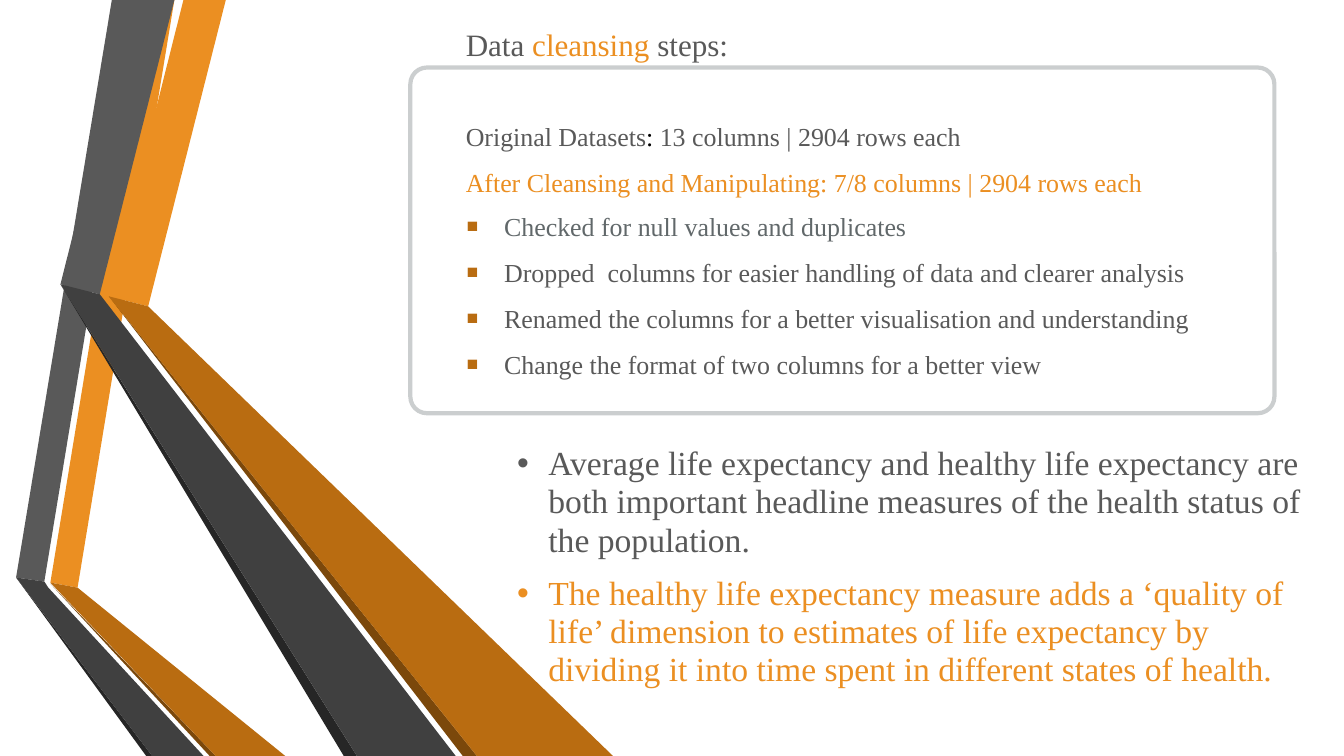
from dataclasses import dataclass

from lxml import etree
from pptx import Presentation
from pptx import util as u
from pptx.dml.color import RGBColor
from pptx.enum import shapes, text
from pptx.oxml import ns


@dataclass(frozen=True)
class Theme:
    font: str = "Times New Roman"
    heading_size: float = 22.2
    list_size: float = 18.5
    summary_size: float = 24
    white: str = "FFFFFF"
    black: str = "000000"
    gray: str = "595959"
    slate: str = "61686A"
    border: str = "CBCECF"
    charcoal: str = "404040"
    near_black: str = "262626"
    orange: str = "EB8F22"
    amber: str = "B96C11"
    brown: str = "7B480B"


THEME = Theme()

BACK_RIBBONS = [
    (THEME.orange, [(0.5, 5.78), (0.77, 5.83), (1.73, 0), (1.45, 0)]),
    (THEME.gray, [(1.39, 0), (1.11, 0), (0.16, 5.73), (0.44, 5.77)]),
    (THEME.near_black, [(0.16, 5.73), (1.45, 7.5), (1.51, 7.5)]),
    (THEME.brown, [(0.5, 5.79), (2.08, 7.5), (2.14, 7.5)]),
    (THEME.amber, [(0.5, 5.78), (2.14, 7.5), (2.83, 7.5), (0.77, 5.83)]),
    (THEME.charcoal, [(2.02, 7.5), (0.48, 5.83), (0.44, 5.77), (0.16, 5.73), (1.51, 7.5)]),
]
FRONT_RIBBONS = [
    (THEME.orange, [(1.08, 2.94), (1.47, 3.04), (2.24, 0), (1.82, 0)]),
    (THEME.gray, [(0.99, 2.92), (1.73, 0), (1.31, 0), (0.6, 2.82)]),
    (THEME.near_black, [(0.6, 2.82), (3.41, 7.5), (3.54, 7.5)]),
    (THEME.brown, [(4.73, 7.5), (1.08, 2.94), (4.59, 7.5)]),
    (THEME.amber, [(1.08, 2.94), (4.73, 7.5), (6.08, 7.5), (1.47, 3.04)]),
    (THEME.charcoal, [(4.52, 7.5), (1.06, 3.01), (0.99, 2.92), (0.6, 2.82), (3.54, 7.5)]),
]

HEADING = [("Data ", THEME.gray), ("cleansing ", THEME.orange), ("steps:", THEME.gray)]
DATASETS = [
    [("Original Datasets", THEME.gray), (": ", THEME.black),
     ("13 columns | 2904 rows each", THEME.gray)],
    [("After Cleansing and Manipulating: 7/8 columns | 2904 rows each", THEME.orange)],
]
STEPS = [
    [("Checked for null values and duplicates", THEME.slate)],
    [("Dropped  columns for easier handling of data and clearer analysis", THEME.gray)],
    [("Renamed the columns for a better visualisation and understanding", THEME.gray)],
    [("Change the format of two columns for a better view", THEME.gray)],
]
SUMMARY = [
    [("Average life expectancy and healthy life expectancy are both important headline "
      "measures of the health status of the population.", THEME.gray)],
    [("The healthy life expectancy measure adds a ‘quality of life’ dimension to estimates "
      "of life expectancy by dividing it into time spent in different states of health.",
      THEME.orange)],
]


def color(value):
    return RGBColor.from_string(value)


def add_bullet(para, symbol, indent, bullet_color=None, percent=100):
    props = para._p.get_or_add_pPr()
    props.set("marL", str(u.Inches(indent)))
    props.set("indent", str(-u.Inches(indent)))
    if bullet_color:
        holder = etree.SubElement(props, ns.qn("a:buClr"))
        etree.SubElement(holder, ns.qn("a:srgbClr"), val=bullet_color)
    etree.SubElement(props, ns.qn("a:buSzPct"), val=str(percent * 1000))
    etree.SubElement(props, ns.qn("a:buFont"), typeface="Arial")
    etree.SubElement(props, ns.qn("a:buChar"), char=symbol)


def add_text(page, box, paragraphs, *, size, anchor=text.MSO_ANCHOR.TOP,
             before=0, after=0, line=1.0, bullet=None):
    """Place paragraphs, each a list of (words, colour), without inner margins."""
    frame = page.shapes.add_textbox(*map(u.Inches, box)).text_frame
    frame.word_wrap = True
    frame.vertical_anchor = anchor
    frame.margin_left = frame.margin_right = frame.margin_top = frame.margin_bottom = 0
    for index, spans in enumerate(paragraphs):
        para = frame.paragraphs[0] if index == 0 else frame.add_paragraph()
        para.line_spacing = line
        para.space_before, para.space_after = u.Pt(before), u.Pt(after)
        if bullet:
            add_bullet(para, **bullet)
        for words, span_color in spans:
            span = para.add_run()
            span.text = words
            span.font.name = THEME.font
            span.font.size = u.Pt(size)
            span.font.color.rgb = color(span_color)


def add_ribbons(page, box, ribbons):
    """Draw filled outlines whose points are measured from the box's corner."""
    left, top = box[:2]
    for fill, points in ribbons:
        corners = [(u.Inches(left + x), u.Inches(top + y)) for x, y in points]
        builder = page.shapes.build_freeform(*corners[0])
        builder.add_line_segments(corners[1:], close=True)
        ribbon = builder.convert_to_shape()
        ribbon.shadow.inherit = False
        ribbon.fill.solid()
        ribbon.fill.fore_color.rgb = color(fill)
        ribbon.line.fill.background()


def add_cleansing_panel(page, box):
    left, top, width, height = box
    panel = page.shapes.add_shape(shapes.MSO_SHAPE.ROUNDED_RECTANGLE, *map(u.Inches, box))
    panel.adjustments[0] = 0.048
    panel.shadow.inherit = False
    panel.fill.solid()
    panel.fill.fore_color.rgb = color(THEME.white)
    panel.line.color.rgb = color(THEME.border)
    panel.line.width = u.Pt(3)

    text_left, text_width = left + 0.55, width - 0.6
    first_line, pitch, gap = top + 0.53, 0.4435, 10.6
    add_text(page, (text_left, top - 0.42, text_width, 0.36), [HEADING],
             size=THEME.heading_size)
    add_text(page, (text_left, first_line, text_width, 2 * pitch), DATASETS,
             size=THEME.list_size, after=gap)
    add_text(page, (text_left, first_line + 2 * pitch, text_width, 4 * pitch), STEPS,
             size=THEME.list_size, after=gap,
             bullet=dict(symbol="▪", indent=0.38, bullet_color=THEME.amber, percent=145))


def add_summary(page, box):
    add_text(page, box, SUMMARY, size=THEME.summary_size, anchor=text.MSO_ANCHOR.BOTTOM,
             before=4.5, after=6, line=0.95, bullet=dict(symbol="•", indent=0.31))


def main():
    deck = Presentation()
    deck.slide_width, deck.slide_height = u.Inches(13.33), u.Inches(7.5)
    page = deck.slides.add_slide(deck.slide_layouts[6])
    for ribbons in (BACK_RIBBONS, FRONT_RIBBONS):
        add_ribbons(page, (0, 0, 6.08, 7.5), ribbons)
    add_summary(page, (5.13, 4.16, 7.8, 2.68))
    add_cleansing_panel(page, (4.07, 0.67, 8.57, 3.43))
    deck.save("out.pptx")


if __name__ == "__main__":
    main()
